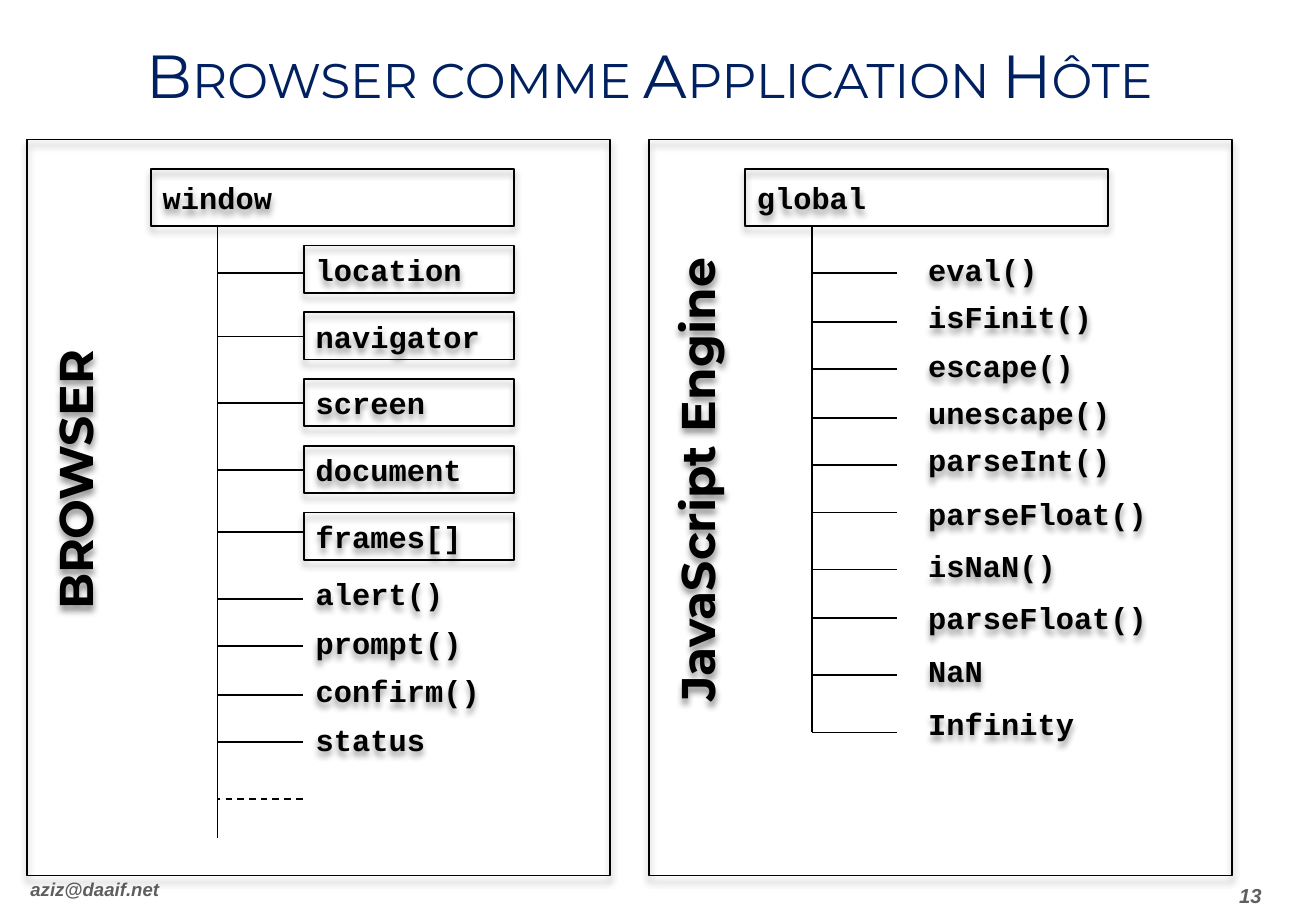
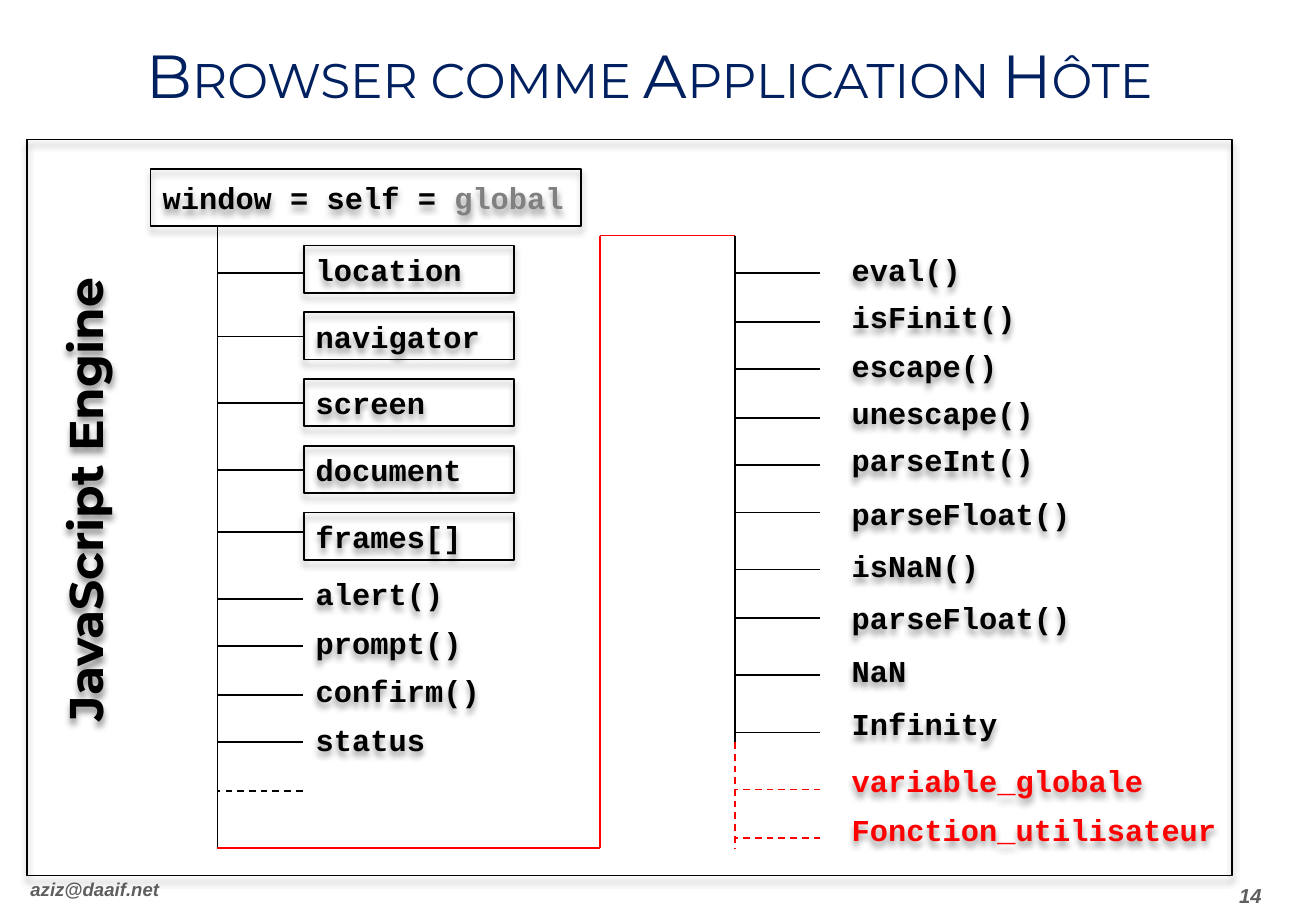
from lxml.etree import SubElement
from pptx import Presentation
from pptx.dml.color import RGBColor
from pptx.enum.dml import MSO_LINE
from pptx.enum.shapes import MSO_CONNECTOR, MSO_SHAPE
from pptx.enum.text import MSO_ANCHOR, PP_ALIGN
from pptx.oxml.ns import qn
from pptx.util import Inches, Pt

BLACK = RGBColor(0, 0, 0)
NAVY = RGBColor(0, 0x20, 0x60)
GRAY = RGBColor(0x5F, 0x5F, 0x5F)
PALE = RGBColor(0x80, 0x80, 0x80)
RED = RGBColor(0xFF, 0, 0)
CODE, HEAD, FOOT = "Courier New", "Montserrat", "Arial"

# Tree layout: text sizes and the length of a branch
SMALL, WIDE = (1.73, 0.39), (2.05, 0.47)
BRANCH = 0.7
SPINE = 1.79

# Members of window: boxed objects, then plain functions, and branch heights
OBJECTS = ["location", "navigator", "screen", "document", "frames[]"]
METHODS = ["alert()", "prompt()", "confirm()", "status"]
TICKS = [2.25, 2.77, 3.32, 3.87, 4.38, 4.93, 5.32, 5.72, 6.11]

# Members of global: name, top, branch height, text size
GLOBALS = [
    ("eval()", 2.02, 2.25, SMALL),
    ("isFinit()", 2.41, 2.65, SMALL),
    ("escape()", 2.81, 3.04, SMALL),
    ("unescape()", 3.2, 3.44, SMALL),
    ("parseInt()", 3.59, 3.83, SMALL),
    ("parseFloat()", 3.99, 4.22, WIDE),
    ("isNaN()", 4.46, 4.69, SMALL),
    ("parseFloat()", 4.85, 5.09, WIDE),
    ("NaN", 5.32, 5.56, SMALL),
    ("Infinity", 5.72, 6.03, WIDE),
]
CUSTOM = [
    ("variable_globale", 6.19, 6.5, (2.6, 0.47)),
    ("Fonction_utilisateur", 6.59, 6.9, (3.29, 0.47)),
]


def add_shadow(shape):
    effects = SubElement(shape._element.spPr, qn("a:effectLst"))
    outer = SubElement(effects, qn("a:outerShdw"), blurRad=str(Pt(4)),
                       dist=str(Pt(3)), dir="5400000", rotWithShape="0")
    color = SubElement(outer, qn("a:srgbClr"), val=str(BLACK))
    SubElement(color, qn("a:alpha"), val="40000")


def add_box(slide, left, top, width, height):
    box = slide.shapes.add_shape(MSO_SHAPE.RECTANGLE, Inches(left), Inches(top),
                                 Inches(width), Inches(height))
    box.fill.background()
    box.line.color.rgb = BLACK
    box.line.width = Pt(1)
    add_shadow(box)
    return box


def add_area(slide, left, top, width, height):
    return slide.shapes.add_textbox(Inches(left), Inches(top),
                                    Inches(width), Inches(height))


def write(shape, text, size, face, color=BLACK, bold=True, align=PP_ALIGN.LEFT):
    frame = shape.text_frame
    frame.word_wrap = True
    frame.vertical_anchor = MSO_ANCHOR.MIDDLE
    line = frame.paragraphs[0]
    line.alignment = align
    line.add_run().text = text
    font = line.font
    font.name, font.size, font.bold = face, Pt(size), bold
    font.color.rgb = color
    return line


def add_code(slide, text, left, top, size, color=BLACK, boxed=False):
    if boxed:
        shape = add_box(slide, left, top, *size)
    else:
        shape = add_area(slide, left, top, *size)
        add_shadow(shape)
    return write(shape, text, 18, CODE, color)


def add_side(slide, text, left, top):
    side = add_area(slide, left, top, 0.63, 4.02)
    add_shadow(side)
    write(side, text, 28, HEAD, align=PP_ALIGN.CENTER)
    side.text_frame._txBody.bodyPr.set("vert", "vert270")


def add_line(slide, start, end, color=BLACK, dashed=False):
    line = slide.shapes.add_connector(
        MSO_CONNECTOR.STRAIGHT, *(Inches(n) for n in (*start, *end)))
    line.line.color.rgb = color
    line.line.width = Pt(1)
    if dashed:
        line.line.dash_style = MSO_LINE.DASH
    SubElement(line._element.spPr, qn("a:effectLst"))


def add_branch(slide, spine, y, color=BLACK, dashed=False):
    add_line(slide, (spine + BRANCH, y), (spine, y), color, dashed)


def add_window(slide, foot, last):
    """Tree of the window object, with its spine down to foot."""
    for i, name in enumerate(OBJECTS):
        add_code(slide, name, 2.5, 2.02 + 0.55 * i, SMALL, boxed=True)
    for i, name in enumerate(METHODS):
        add_code(slide, name, 2.5, 4.69 + 0.4 * i, SMALL)
    add_line(slide, (SPINE, 1.86), (SPINE, foot))
    for y in TICKS:
        add_branch(slide, SPINE, y)
    add_branch(slide, SPINE, last, dashed=True)


def add_rows(slide, rows, spine, color=BLACK, dashed=False):
    for name, top, y, size in rows:
        add_code(slide, name, spine + 0.86, top, size, color)
        add_branch(slide, spine, y, color, dashed)


def add_page(deck, number):
    """Slide with the shared title and footer."""
    slide = deck.slides.add_slide(deck.slide_layouts[6])
    mail = add_area(slide, 0, 7.14, 2.82, 0.36)
    mail.text_frame.margin_left = Inches(0.25)
    write(mail, "aziz@daaif.net", 11, FOOT, GRAY).font.italic = True
    page = add_area(slide, 9.74, 7.24, 1.1, 0.26)
    write(page, str(number), 12, FOOT, GRAY,
          align=PP_ALIGN.CENTER).font.italic = True
    title = write(add_area(slide, 0.33, 0.29, 10.03, 0.75),
                  "Browser comme Application Hôte", 36, HEAD, NAVY,
                  bold=False, align=PP_ALIGN.CENTER)
    title.line_spacing = 0.8
    title._p.pPr.find(qn("a:defRPr")).set("cap", "small")
    return slide


def add_hosts(deck):
    slide = add_page(deck, 13)
    # Browser panel
    add_box(slide, 0.22, 1.15, 4.8, 6.06)
    add_side(slide, "BROWSER", 0.3, 1.94)
    add_code(slide, "window", 1.24, 1.39, (2.99, 0.47), boxed=True)
    add_window(slide, 6.9, 6.58)
    # Engine panel
    add_box(slide, 5.34, 1.15, 4.8, 6.06)
    add_side(slide, "JavaScript Engine", 5.42, 1.94)
    add_code(slide, "global", 6.13, 1.39, (2.99, 0.47), boxed=True)
    add_line(slide, (6.68, 1.86), (6.68, 6.03))
    add_rows(slide, GLOBALS, 6.68)


def add_merged(deck):
    slide = add_page(deck, 14)
    add_box(slide, 0.22, 1.15, 9.92, 6.06)
    add_side(slide, "JavaScript Engine", 0.38, 2.1)
    # Window tree
    root = add_code(slide, "window = self = ", 1.24, 1.39, (3.54, 0.47), boxed=True)
    alias = root.add_run()
    alias.text = "global"
    alias.font.color.rgb = PALE
    add_window(slide, 6.98, 6.51)
    # Global tree
    spine = 6.05
    add_line(slide, (spine, 1.94), (spine, 6.11))
    add_rows(slide, GLOBALS, spine)
    # Red link between the trees, and user members
    bends = [(SPINE, 6.98), (4.94, 6.98), (4.94, 1.94), (spine, 1.94)]
    for start, end in zip(bends, bends[1:]):
        add_line(slide, start, end, RED)
    add_line(slide, (spine, 6.11), (spine, 6.98), RED, dashed=True)
    add_rows(slide, CUSTOM, spine, RED, dashed=True)


def main():
    deck = Presentation()
    deck.slide_width, deck.slide_height = Inches(10.83), Inches(7.5)
    add_hosts(deck)
    add_merged(deck)
    deck.save("out.pptx")


main()
